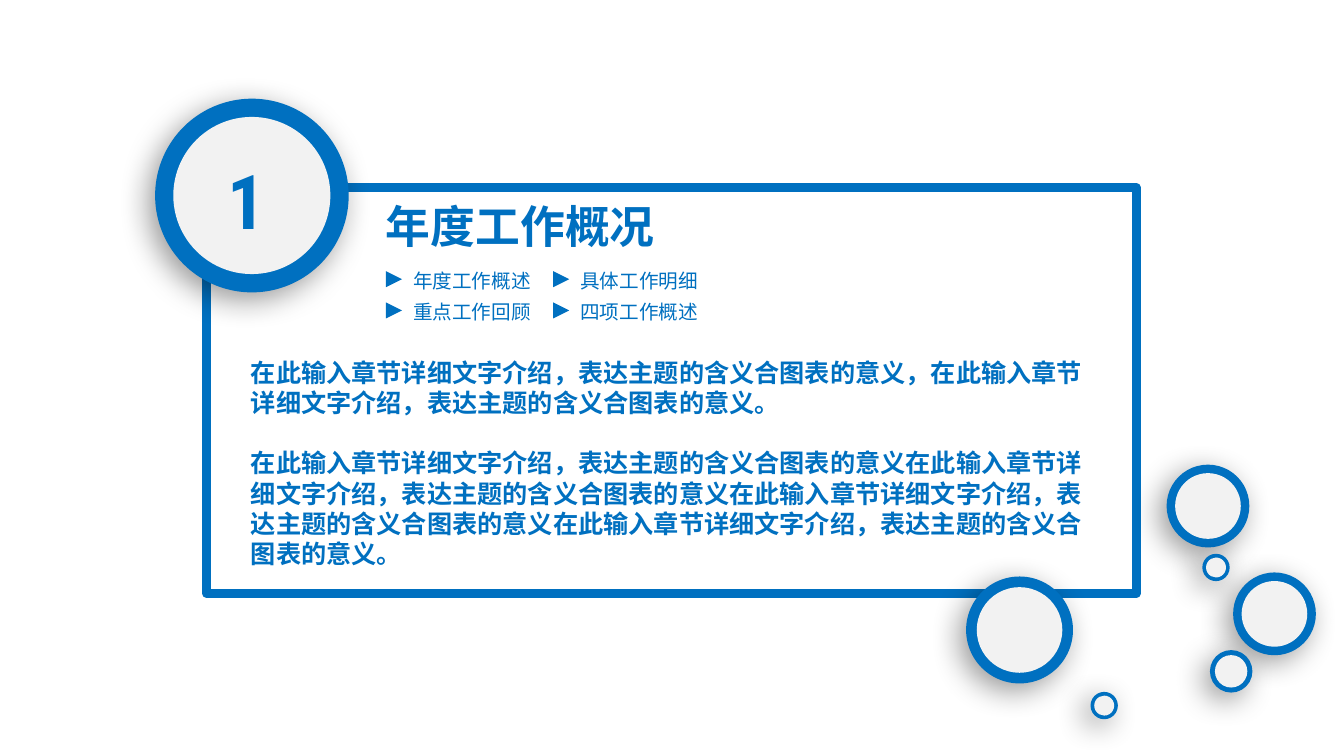
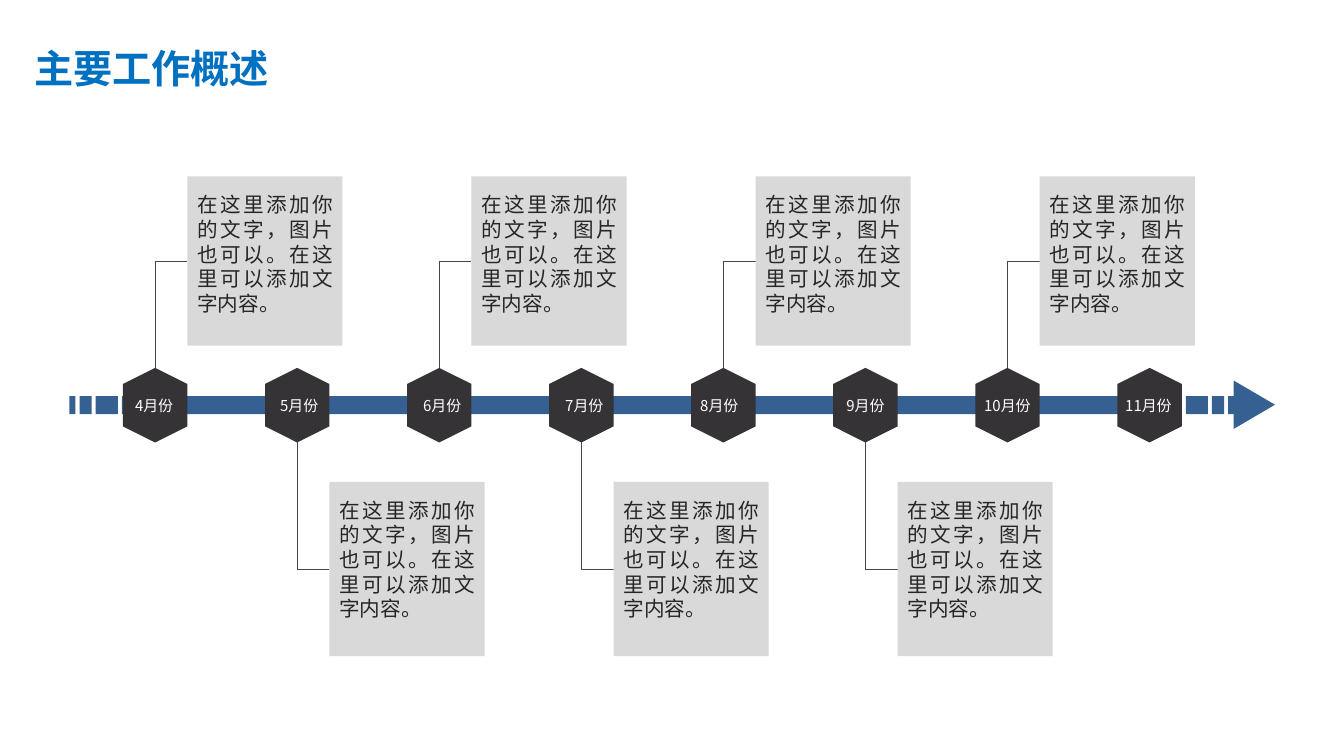
"""Build a section opener and a monthly timeline slide."""
from dataclasses import dataclass

from lxml import etree
from pptx import Presentation
from pptx.dml.color import RGBColor
from pptx.enum.shapes import MSO_CONNECTOR, MSO_SHAPE
from pptx.enum.text import MSO_ANCHOR, MSO_AUTO_SIZE, PP_ALIGN
from pptx.oxml.ns import qn
from pptx.util import Emu, Inches, Pt

RECTANGLE, OVAL = MSO_SHAPE.RECTANGLE, MSO_SHAPE.OVAL
TRIANGLE, HEXAGON = MSO_SHAPE.ISOSCELES_TRIANGLE, MSO_SHAPE.HEXAGON
ELBOW = MSO_CONNECTOR.ELBOW
TOP, NO_FIT = MSO_ANCHOR.TOP, MSO_AUTO_SIZE.NONE
LEFT, CENTER, JUSTIFY = PP_ALIGN.LEFT, PP_ALIGN.CENTER, PP_ALIGN.JUSTIFY


@dataclass(frozen=True)
class Theme:
    """Colours, fonts and type sizes shared by the slides."""
    blue: str = "0070C0"
    disc: str = "F2F2F2"
    axis: str = "376092"
    node: str = "353336"
    card: str = "D9D9D9"
    link: str = "414455"
    ink: str = "262626"
    white: str = "FFFFFF"
    shadow: str = "000000"
    font: str = "Noto Sans CJK SC"
    number_font: str = "Roboto Condensed"
    number: float = 54
    section: float = 32
    title: float = 28
    body: float = 18
    item: float = 14
    note: float = 14.7
    month: float = 10.7
    leading: float = 1.2
    text_drop: float = 0.08


THEME = Theme()

SECTION = {
    "number": "1",
    "title": "年度工作概况",
    "items": [["年度工作概述", "具体工作明细"], ["重点工作回顾", "四项工作概述"]],
    "body": [
        "在此输入章节详细文字介绍，表达主题的含义合图表的意义，"
        "在此输入章节详细文字介绍，表达主题的含义合图表的意义。",
        "在此输入章节详细文字介绍，表达主题的含义合图表的意义"
        "在此输入章节详细文字介绍，表达主题的含义合图表的意义"
        "在此输入章节详细文字介绍，表达主题的含义合图表的意义"
        "在此输入章节详细文字介绍，表达主题的含义合图表的意义。",
    ],
}
NUMBER_RING = (2.5, 1.94, 1.89)
BUBBLES = [(12.65, 6.09, 0.79), (12.22, 6.66, 0.39), (10.12, 6.25, 1.03),
           (10.96, 7.0, 0.24), (11.99, 5.02, 0.79), (12.07, 5.63, 0.24)]

TIMELINE_TITLE = "主要工作概述"
NOTE = "在这里添加你的文字，图片也可以。在这里可以添加文字内容。"
MONTHS = [("4月份", -0.01), ("5月份", 0.02), ("6月份", 0.03), ("7月份", 0.03),
          ("8月份", -0.04), ("9月份", 0), ("10月份", 0), ("11月份", -0.01)]
AXIS_Y = 4.02
AXIS_PIECES = [0.06, 0.12, 0.22, 10.52, 0.22, 0.12, 0.06]
UPPER = {"top": 1.75, "height": 1.68, "link": 2.59, "edge": AXIS_Y - 0.37}
LOWER = {"top": 4.78, "height": 1.73, "link": 5.65, "edge": AXIS_Y + 0.37}


def shadow_effect(parent, blur, distance):
    """Append a soft shadow towards the lower left and return it."""
    effects = etree.SubElement(parent, qn("a:effectLst"))
    outer = etree.SubElement(effects, qn("a:outerShdw"), blurRad=str(Pt(blur)),
                             dist=str(Pt(distance)), dir="8100000",
                             algn="tr", rotWithShape="0")
    color = etree.SubElement(outer, qn("a:srgbClr"), val=THEME.shadow)
    etree.SubElement(color, qn("a:alpha"), val="40000")
    return effects


def add_shape(page, kind, place, fill=None, line=None, width=1, rotation=0):
    """Add a preset shape with plain fill and line."""
    shape = page.shapes.add_shape(kind, *map(Inches, place))
    shape.rotation = rotation
    if fill:
        shape.fill.solid()
        shape.fill.fore_color.rgb = RGBColor.from_string(fill)
    else:
        shape.fill.background()
    if line:
        shape.line.color.rgb = RGBColor.from_string(line)
        shape.line.width = Pt(width)
    else:
        shape.line.fill.background()
    shape.shadow.inherit = False
    return shape


def write(box, paragraphs, size, color=THEME.blue, font=THEME.font, bold=False,
          align=LEFT, insets=(0, 0)):
    """Write paragraphs with one format and fixed leading into a box."""
    side, top = map(Inches, insets)
    frame_format = {"word_wrap": True, "auto_size": NO_FIT,
                    "vertical_anchor": TOP, "margin_left": side,
                    "margin_right": side, "margin_bottom": 0,
                    "margin_top": Emu(top + Pt(size * THEME.text_drop))}
    frame = box.text_frame
    for name, value in frame_format.items():
        setattr(frame, name, value)
    leading = Pt(size * THEME.leading)
    for index, text in enumerate(paragraphs):
        para = frame.add_paragraph() if index else frame.paragraphs[0]
        para_format = {"alignment": align, "line_spacing": leading,
                       "space_before": leading if index else Pt(0)}
        for name, value in para_format.items():
            setattr(para, name, value)
        span = para.add_run()
        span.text = text
        for name, value in {"size": Pt(size), "bold": bold, "name": font}.items():
            setattr(span.font, name, value)
        span.font.color.rgb = RGBColor.from_string(color)
        etree.SubElement(span._r.get_or_add_rPr(), qn("a:ea"), typeface=font)
    return box


def add_text(page, place, paragraphs, size, **text_format):
    """Add a text box."""
    box = page.shapes.add_textbox(*map(Inches, place))
    return write(box, paragraphs, size, **text_format)


def add_page(deck, title, place, size, insets=(0, 0)):
    """Add a title-only slide with its title placed and formatted."""
    page = deck.slides.add_slide(deck.slide_layouts[5])
    box = page.shapes.title
    box.left, box.top, box.width, box.height = map(Inches, place)
    write(box, [title], size, bold=True, insets=insets)
    return page


def add_ring(page, x, y, diameter):
    """Add a blue ring with a pale centre and a shadow."""
    for size, fill, line in ((diameter, THEME.blue, THEME.blue),
                             (diameter * 0.825, THEME.disc, None)):
        place = (x - size / 2, y - size / 2, size, size)
        disc = add_shape(page, OVAL, place, fill, line, 2.25)
        if line:
            properties = disc._element.spPr
            properties.remove(properties.find(qn("a:effectLst")))
            shadow_effect(properties, 22, 7)


def add_section(deck):
    """Build the section opener."""
    page = add_page(deck, SECTION["title"], (3.83, 1.94, 4.02, 0.54), THEME.section)
    add_shape(page, RECTANGLE, (2.05, 1.86, 9.23, 4.03), line=THEME.blue, width=6)
    add_ring(page, *NUMBER_RING)
    number = add_text(page, (1.63, 1.47, 1.63, 0.91), [SECTION["number"]],
                      THEME.number, font=THEME.number_font, bold=True, align=CENTER)
    properties = number.text_frame.paragraphs[0].runs[0]._r.rPr
    effects = shadow_effect(properties, 3, 3)
    properties.find(qn("a:latin")).addprevious(effects)
    for row, labels in enumerate(SECTION["items"]):
        for column, label in enumerate(labels):
            x, y = 3.83 + 1.66 * column, 2.69 + 0.31 * row
            add_shape(page, TRIANGLE, (x, y, 0.16, 0.16), THEME.blue, rotation=90)
            add_text(page, (x + 0.27, y - 0.04, 1.25, 0.24), [label], THEME.item)
    add_text(page, (2.49, 3.52, 8.43, 2.12), SECTION["body"], THEME.body, bold=True)
    for bubble in BUBBLES:
        add_ring(page, *bubble)


def add_axis(page):
    """Draw the broken bar and its arrowhead."""
    x = 0.69
    for width in AXIS_PIECES:
        add_shape(page, RECTANGLE, (x, AXIS_Y - 0.09, width, 0.18), THEME.axis)
        x += width + 0.04
    add_shape(page, TRIANGLE, (12.21, 3.81, 0.48, 0.41), THEME.axis, rotation=90)


def add_note(page, x, side):
    """Add a note card and the elbow line that ties it to its month."""
    card_left = x + 0.32
    ends = (card_left, side["link"], x, side["edge"])
    link = page.shapes.add_connector(ELBOW, *map(Inches, ends))
    link.line.color.rgb = RGBColor.from_string(THEME.link)
    link.line.width = Pt(0.75)
    properties = link._element.spPr
    properties.find(qn("a:prstGeom")).set("prst", "bentConnector2")
    etree.SubElement(properties, qn("a:effectLst"))
    place = (card_left, side["top"], 1.54, side["height"])
    card = add_shape(page, RECTANGLE, place, THEME.card)
    write(card, [NOTE], THEME.note, color=THEME.ink, align=JUSTIFY, insets=(0.1, 0.14))


def add_timeline(deck):
    """Build the monthly timeline."""
    page = add_page(deck, TIMELINE_TITLE, (0.24, 0.36, 3.7, 0.57), THEME.title,
                    insets=(0.1, 0.05))
    add_axis(page)
    for index, (month, shift) in enumerate(MONTHS):
        x = 1.54 + 1.41 * index
        if index < len(MONTHS) - 1:
            add_note(page, x, LOWER if index % 2 else UPPER)
        add_shape(page, HEXAGON, (x - 0.37, AXIS_Y - 0.32, 0.74, 0.64), THEME.node,
                  rotation=90)
        add_text(page, (x + shift - 0.4, 3.87, 0.8, 0.28), [month], THEME.month,
                 color=THEME.white, align=CENTER, insets=(0, 0.05))


def main():
    """Build and save the deck."""
    deck = Presentation()
    deck.slide_width, deck.slide_height = Inches(13.34), Inches(7.5)
    add_section(deck)
    add_timeline(deck)
    deck.save("out.pptx")


if __name__ == "__main__":
    main()
